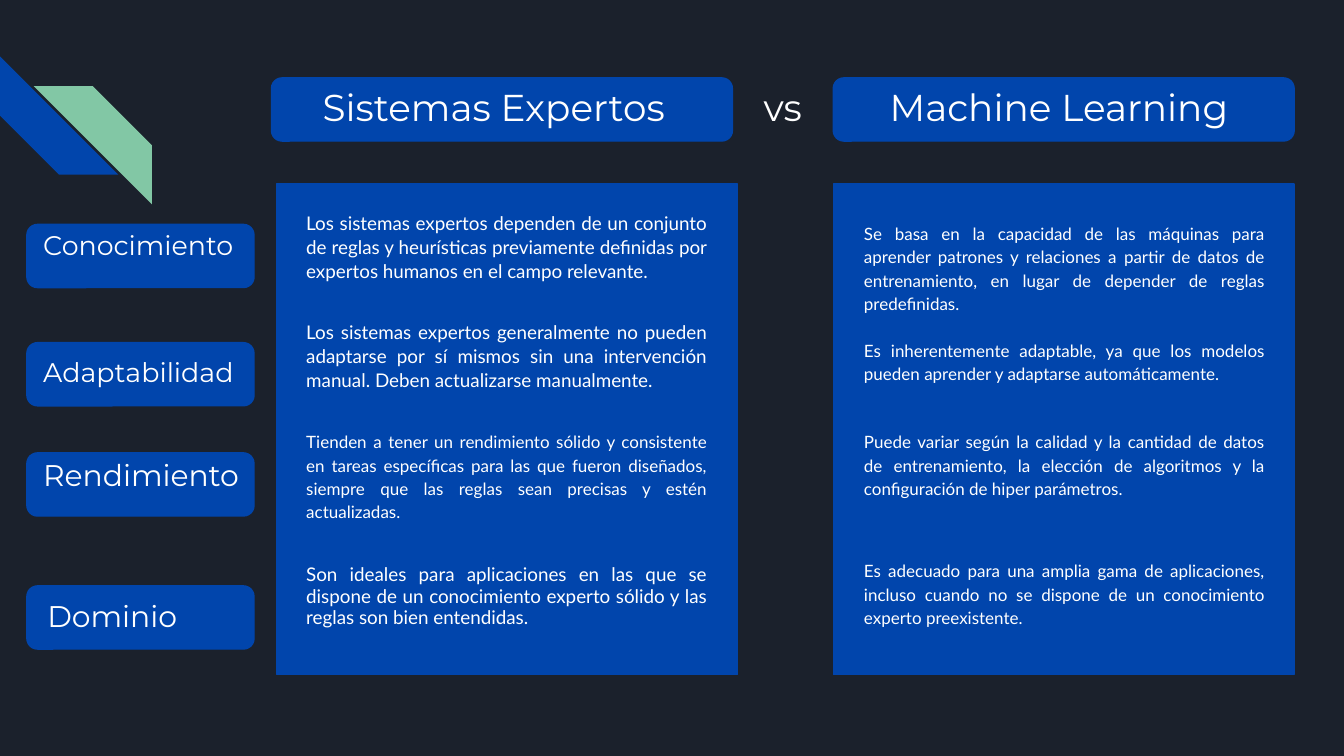
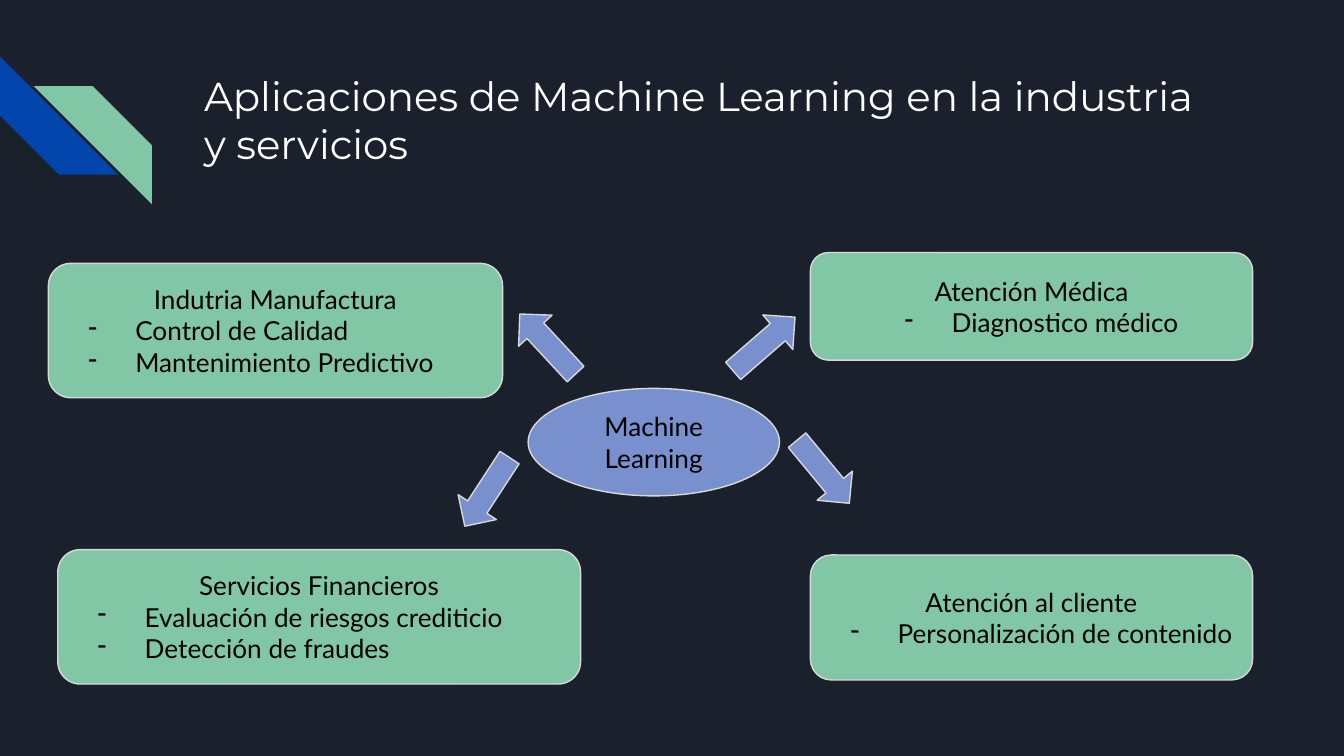
"""Builds two slides on expert systems and machine learning."""
import pptx
import pptx.dml.color
import pptx.enum.shapes
import pptx.enum.text
import pptx.oxml
import pptx.oxml.ns
import pptx.util

KIND = pptx.enum.shapes.MSO_SHAPE
ALIGN = pptx.enum.text.PP_ALIGN
ANCHOR = pptx.enum.text.MSO_ANCHOR
Inches = pptx.util.Inches
Pt = pptx.util.Pt

COLORS = {"night": "1B212C", "blue": "0145AC", "green": "82C7A5", "periwinkle": "7890CD",
          "edge": "D9D9D9", "white": "FFFFFF", "black": "000000"}
TITLE_FONT, BODY_FONT = "Montserrat", "Lato"
WIDTH, HEIGHT = 10, 5.625
MARGIN = 0.1

HEADER_TOP, PANEL_TOP = 0.58, 1.37
COLUMN_WIDTH, PANEL_HEIGHT = 3.43, 3.65
PILL_HEIGHT = 0.47
LABEL_LEFT, LABEL_WIDTH = 0.2, 1.69
BODY_WIDTH, BODY_HEIGHT = 3.18, 0.74

LABELS = [
    ("Conocimiento", 1.67, 14.4, 0.17, 0.1),
    ("Adaptabilidad", 2.55, 14.4, 0.03, 0.1),
    ("Rendimiento", 3.37, 16, 0.14, 0.1),
    ("Dominio", 4.36, 16, 0.03, 0.13),
]
COLUMNS = [
    {"title": "Sistemas Expertos", "header": 2.02, "panel": 2.06, "body": 2.18, "shift": 0.12,
     "texts": [
         (1.47, 10.1, 1.05, "Los sistemas expertos dependen de un conjunto de reglas y heurísticas "
                            "previamente definidas por expertos humanos en el campo relevante."),
         (2.28, 10.1, 1.05, "Los sistemas expertos generalmente no pueden adaptarse por sí mismos sin "
                            "una intervención manual. Deben actualizarse manualmente."),
         (3.09, 9.1, 1.15, "Tienden a tener un rendimiento sólido y consistente en tareas específicas "
                           "para las que fueron diseñados, siempre que las reglas sean precisas y estén "
                           "actualizadas."),
         (4.1, 10.1, 0.95, "Son ideales para aplicaciones en las que se dispone de un conocimiento "
                           "experto sólido y las reglas son bien entendidas."),
     ]},
    {"title": "Machine Learning", "header": 6.2, "panel": 6.2, "body": 6.33, "shift": 0.07,
     "texts": [
         (1.54, 9.1, 1.15, "Se basa en la capacidad de las máquinas para aprender patrones y relaciones "
                           "a partir de datos de entrenamiento, en lugar de depender de reglas "
                           "predefinidas."),
         (2.41, 9.1, 1.15, "Es inherentemente adaptable, ya que los modelos pueden aprender y adaptarse "
                           "automáticamente."),
         (3.09, 9.1, 1.15, "Puede variar según la calidad y la cantidad de datos de entrenamiento, la "
                           "elección de algoritmos y la configuración de hiper parámetros."),
         (4.05, 9.1, 1.15, "Es adecuado para una amplia gama de aplicaciones, incluso cuando no se "
                           "dispone de un conocimiento experto preexistente."),
     ]},
]

HUB = ("Machine Learning", (3.93, 2.89, 1.87, 0.8))
SECTORS = [
    ("Indutria Manufactura", ["Control de Calidad", "Mantenimiento Predictivo"],
     (0.36, 1.96, 3.38, 1), ALIGN.LEFT),
    ("Atención Médica", ["Diagnostico médico"], (6.03, 1.88, 3.29, 0.8), ALIGN.CENTER),
    ("Servicios Financieros", ["Evaluación de riesgos crediticio", "Detección de fraudes"],
     (0.43, 4.09, 3.89, 1), ALIGN.JUSTIFY),
    ("Atención al cliente", ["Personalización de contenido"], (6.03, 4.13, 3.29, 0.93), ALIGN.CENTER),
]
ARROW_SIZE = (0.61, 0.34)
ARROWS = [(3.77, 2.39, 47.1), (5.38, 2.39, 139), (5.82, 3.34, 230.4), (3.32, 3.49, 303.1)]


def rgb(name):
    return pptx.dml.color.RGBColor.from_string(COLORS[name])


def add_block(page, kind, place, fill, line=None):
    block = page.shapes.add_shape(kind, *map(Inches, place))
    block.shadow.inherit = False
    block.fill.solid()
    block.fill.fore_color.rgb = rgb(fill)
    if line:
        block.line.color.rgb = rgb(line)
        block.line.width = Pt(0.75)
    else:
        block.line.fill.background()
    return block


def write(box, lines, size, font=BODY_FONT, color="white", align=ALIGN.LEFT,
          anchor=ANCHOR.TOP, insets=(MARGIN,) * 4, spacing=None):
    frame = box.text_frame
    frame.word_wrap = True
    frame.vertical_anchor = anchor
    frame.margin_left, frame.margin_top, frame.margin_right, frame.margin_bottom = map(Inches, insets)
    frame.text = "\n".join(lines)
    for para in frame.paragraphs:
        para.alignment = align
        if spacing:
            para.line_spacing = spacing
        for span in para.runs:
            span.font.size = Pt(size)
            span.font.name = font
            span.font.color.rgb = rgb(color)
    return frame


def add_text(page, place, text, size, **style):
    return write(page.shapes.add_textbox(*map(Inches, place)), [text], size, **style)


def add_dash(para):
    properties = para._p.get_or_add_pPr()
    properties.set("marL", str(Inches(0.5)))
    properties.set("indent", str(Inches(-0.35)))
    namespace = pptx.oxml.ns.nsdecls("a")
    for xml in (f'<a:buClr {namespace}><a:srgbClr val="{COLORS["black"]}"/></a:buClr>',
                f'<a:buChar {namespace} char="-"/>'):
        properties.append(pptx.oxml.parse_xml(xml))


def add_page(deck):
    page = deck.slides.add_slide(deck.slide_layouts[6])
    page.background.fill.solid()
    page.background.fill.fore_color.rgb = rgb("night")
    lower = add_block(page, KIND.DIAGONAL_STRIPE, (0, 0.42, 0.88, 0.88), "blue")
    lower.rotation = 270
    upper = add_block(page, KIND.DIAGONAL_STRIPE, (0.25, 0.64, 0.88, 0.88), "green")
    upper.element.spPr.xfrm.set("flipH", "1")
    return page


def build_comparison(deck):
    page = add_page(deck)
    heading = {"font": TITLE_FONT, "anchor": ANCHOR.MIDDLE, "align": ALIGN.CENTER}
    for column in COLUMNS:
        header = add_block(page, KIND.ROUNDED_RECTANGLE,
                           (column["header"], HEADER_TOP, COLUMN_WIDTH, PILL_HEIGHT), "blue", "blue")
        write(header, [column["title"]], 20, insets=(0, 0, column["shift"], 0.04), **heading)
        add_block(page, KIND.RECTANGLE, (column["panel"], PANEL_TOP, COLUMN_WIDTH, PANEL_HEIGHT),
                  "blue", "blue")
        for top, size, spacing, text in column["texts"]:
            add_text(page, (column["body"], top, BODY_WIDTH, BODY_HEIGHT), text, size,
                     align=ALIGN.JUSTIFY, spacing=spacing)
    first_end = COLUMNS[0]["header"] + COLUMN_WIDTH
    gap = COLUMNS[1]["header"] - first_end
    add_text(page, (first_end, HEADER_TOP, gap, PILL_HEIGHT), "vs", 20,
             insets=(0, 0, 0, 0.04), **heading)
    for text, top, size, lift, indent in LABELS:
        pill = add_block(page, KIND.ROUNDED_RECTANGLE, (LABEL_LEFT, top, LABEL_WIDTH, PILL_HEIGHT),
                         "blue", "blue")
        write(pill, [text], size, font=TITLE_FONT, anchor=ANCHOR.MIDDLE, insets=(indent, 0, 0, lift))


def build_applications(deck):
    page = add_page(deck)
    add_text(page, (1.42, 0.43, 7.7, 1),
             "Aplicaciones de Machine Learning en la industria y servicios", 21.6, font=TITLE_FONT)
    label = {"color": "black", "align": ALIGN.CENTER, "anchor": ANCHOR.MIDDLE}
    name, place = HUB
    write(add_block(page, KIND.OVAL, place, "periwinkle", "edge"), [name], 14, **label)
    for title, items, place, align in SECTORS:
        card = add_block(page, KIND.ROUNDED_RECTANGLE, place, "green", "edge")
        frame = write(card, [title, *items], 14, **label)
        for para in frame.paragraphs[1:]:
            para.alignment = align
            add_dash(para)
    for left, top, angle in ARROWS:
        arrow = add_block(page, KIND.LEFT_ARROW, (left, top, *ARROW_SIZE), "periwinkle", "edge")
        arrow.rotation = angle


def main():
    deck = pptx.Presentation()
    deck.slide_width, deck.slide_height = Inches(WIDTH), Inches(HEIGHT)
    build_comparison(deck)
    build_applications(deck)
    deck.save("out.pptx")


if __name__ == "__main__":
    main()
